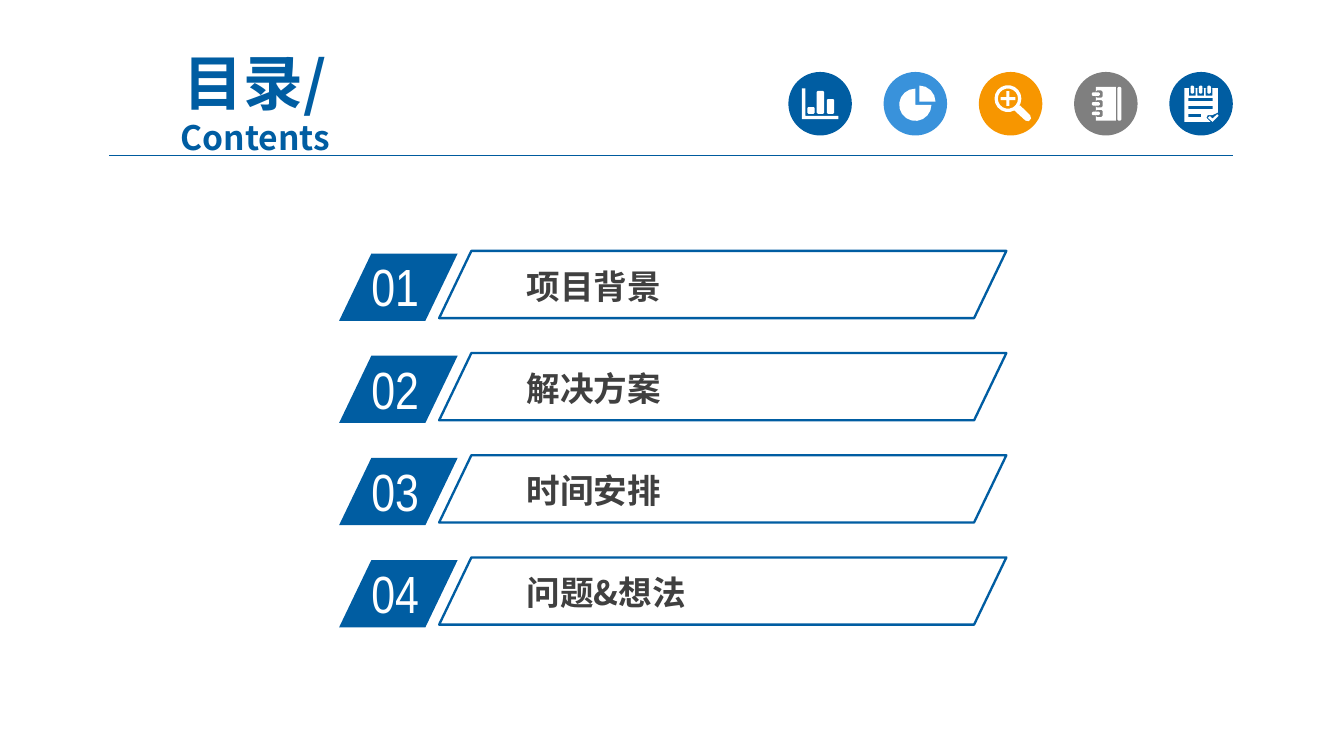
from dataclasses import dataclass
from math import cos, radians, sin

from pptx import Presentation
from pptx.dml.color import RGBColor
from pptx.enum.shapes import MSO_CONNECTOR, MSO_SHAPE
from pptx.enum.text import MSO_ANCHOR, MSO_AUTO_SIZE, PP_ALIGN
from pptx.oxml.ns import qn
from pptx.util import Cm, Pt


@dataclass(frozen=True)
class Theme:
    """Colours, fonts and type sizes."""
    blue: str = "005DA2"
    rule: str = "005B9E"
    sky: str = "3992DB"
    orange: str = "F79600"
    grey: str = "7F7F7F"
    ink: str = "404040"
    white: str = "FFFFFF"
    sans: str = "Noto Sans CJK SC"
    narrow: str = "Arial Narrow"
    title: int = 32
    body: int = 18
    number: int = 28


def arc(x, y, radius, start=0, end=360):
    """Return points along an arc, in degrees clockwise from the right."""
    steps = max(2, abs(end - start) // 20)
    angles = [radians(start + (end - start) * i / steps) for i in range(steps + 1)]
    return [(x + radius * cos(a), y + radius * sin(a)) for a in angles]


def bar(x, y, width, height, cut=0.8):
    """Return the outline of a rectangle with trimmed corners."""
    right, bottom = x + width, y + height
    return [(x + cut, y), (right - cut, y), (right, y + cut), (right, bottom - cut),
            (right - cut, bottom), (x + cut, bottom), (x, bottom - cut), (x, y + cut)]


def block(x, y, width, height):
    """Return the outline of a plain rectangle."""
    return [(x, y), (x + width, y), (x + width, y + height), (x, y + height)]


def chart_icon():
    """Return the outlines of a bar chart."""
    axes = [(-13.5, -11.5), (-11, -11.5), (-11, 9), (13.5, 9), (13.5, 11.5), (-13.5, 11.5)]
    return [axes] + [bar(x, top, 5.5, 7.5 - top) for x, top in ((-9.5, 2.5), (-2.5, -9.5), (5, -3.5))]


def pie_icon():
    """Return the outlines of a pie with one slice pulled out."""
    return [[(0, 0.8)] + arc(0, 0.8, 12, 0, 270), [(3, -1.5)] + arc(3, -1.5, 12, -90, 0)]


def lens_icon():
    """Return the outlines of a magnifier with a plus sign."""
    x, y, long, thin = -2, -3.8, 5.5, 1.1
    quarter = [(long, -thin), (long, thin), (thin, thin)]
    plus = []
    for _ in range(4):
        plus += [(x + a, y + b) for a, b in quarter]
        quarter = [(-b, a) for a, b in quarter]
    handle = [(7, 1.2), (14.5, 8.5), (15.2, 11), (13.5, 13), (11, 12.5), (3, 5.2)]
    return [arc(x, y, 10), arc(x, y, 7.5), plus, handle]


def notebook_icon():
    """Return the outlines of a ring-bound notebook."""
    parts = [block(-7.5, -12.5, 15, 25), bar(8.5, -12.5, 3, 25)]
    for y in (-7.2, 0, 7.2):
        parts += [bar(-7.5, y - 2.7, 5, 5.4), bar(-10.5, y - 1.3, 6, 2.6)]
    return parts


def notepad_icon():
    """Return the outlines of a notepad with a tick."""
    sheet = [(-12.5, -11.5), (12.5, -11.5), (12.5, 6.5), (8.5, 8.5), (5, 8.5),
             (4, 10.5), (7, 13.5), (-12.5, 13.5)]
    tick = [(13, 9), (8.5, 13.5), (5, 10.5), (6.5, 9.2), (8.5, 11), (12, 7.8)]
    parts = [sheet, tick]
    for x in (-6.5, -0.3, 5.9):
        parts += [block(x - 2.5, -11.5, 5, 5.5), bar(x - 1.3, -13.5, 2.6, 6)]
    return parts + [block(-9.5, y, width, 2.4) for y, width in ((-4.4, 18), (1.6, 18), (7.6, 9.5))]


class Canvas:
    """Holds the theme and the current slide."""

    def __init__(self, page, theme):
        """Keep the slide's shapes and the theme."""
        self.shapes, self.theme = page.shapes, theme

    def paint(self, shape, fill=None, line=None, width=1.25):
        """Set fill and outline and drop the shadow."""
        shape.shadow.inherit = False
        if fill:
            shape.fill.solid()
            shape.fill.fore_color.rgb = RGBColor.from_string(fill)
        else:
            shape.fill.background()
        if line:
            shape.line.color.rgb = RGBColor.from_string(line)
            shape.line.width = Pt(width)
        else:
            shape.line.fill.background()

    def text(self, words, at, sizes, color, font, bold=False, inset=(0.25, 0.13)):
        """Add a text box, with one size for each run."""
        box = self.shapes.add_textbox(*map(Cm, at))
        frame = box.text_frame
        frame.word_wrap = True
        frame.margin_left = frame.margin_right = Cm(inset[0])
        frame.margin_top = frame.margin_bottom = Cm(inset[1])
        para = frame.paragraphs[0]
        para.text = words
        for span, size in zip(para.runs, sizes):
            span.font.size, span.font.name, span.font.bold = Pt(size), font, bold
            span.font.color.rgb = RGBColor.from_string(color)
            face = span.font._element.makeelement(qn("a:ea"), {"typeface": font})
            span.font._element.find(qn("a:latin")).addnext(face)
        return frame

    def slanted(self, at, **style):
        """Add a parallelogram."""
        shape = self.shapes.add_shape(MSO_SHAPE.PARALLELOGRAM, *map(Cm, at))
        shape.adjustments[0] = 0.48
        self.paint(shape, **style)

    def rule(self, left, right, y):
        """Add a thin horizontal line."""
        line = self.shapes.add_connector(MSO_CONNECTOR.STRAIGHT, Cm(left), Cm(y), Cm(right), Cm(y))
        line.line.color.rgb = RGBColor.from_string(self.theme.rule)
        line.line.width = Pt(0.75)
        props = line._element.spPr
        props.append(props.makeelement(qn("a:effectLst"), {}))

    def badge(self, left, top, size, color, outlines):
        """Add a disc with a white icon at its centre."""
        disc = self.shapes.add_shape(MSO_SHAPE.OVAL, Cm(left), Cm(top), Cm(size), Cm(size))
        self.paint(disc, fill=color)
        grain = 100
        outlines = [[(x * grain, y * grain) for x, y in outline] for outline in outlines]
        builder = self.shapes.build_freeform(*outlines[0][0], scale=Cm(0.0254) / grain)
        for number, outline in enumerate(outlines):
            if number:
                builder.move_to(*outline[0])
            builder.add_line_segments(outline[1:], close=True)
        icon = builder.convert_to_shape(Cm(left + size / 2), Cm(top + size / 2))
        self.paint(icon, fill=self.theme.white)


def build():
    """Build the contents slide and save it."""
    theme = Theme()
    deck = Presentation()
    deck.slide_width, deck.slide_height = Cm(25.4), Cm(14.28)
    canvas = Canvas(deck.slides.add_slide(deck.slide_layouts[6]), theme)

    title = canvas.text("目录/\vContents", (1.69, 1.23, 6.27, 1.37),
                        (theme.title, theme.body), theme.blue, theme.sans, bold=True)
    title.vertical_anchor = MSO_ANCHOR.MIDDLE
    title.paragraphs[0].alignment = PP_ALIGN.CENTER
    canvas.rule(2.06, 23.3, 2.94)

    for row, topic in enumerate(("项目背景", "解决方案", "时间安排", "问题&想法")):
        y = 4.74 + 1.93 * row
        canvas.slanted((6.41, y + 0.05, 2.24, 1.27), fill=theme.blue)
        number = canvas.text(f"{row + 1:02d}", (6.77, y - 0.06, 2.13, 1.24),
                             (theme.number,), theme.white, theme.narrow)
        label = canvas.text(topic, (9.77, y + 0.18, 7.85, 0.97), (theme.body,),
                            theme.ink, theme.sans, bold=True, inset=(0.18, 0.1))
        number.auto_size = label.auto_size = MSO_AUTO_SIZE.SHAPE_TO_FIT_TEXT
        canvas.slanted((8.3, y, 10.72, 1.27), line=theme.blue)

    badges = ((theme.blue, chart_icon), (theme.sky, pie_icon), (theme.orange, lens_icon),
              (theme.grey, notebook_icon), (theme.blue, notepad_icon))
    for column, (color, icon) in enumerate(badges):
        canvas.badge(14.9 + 1.8 * column, 1.36, 1.2, color, icon())

    deck.save("out.pptx")


build()
